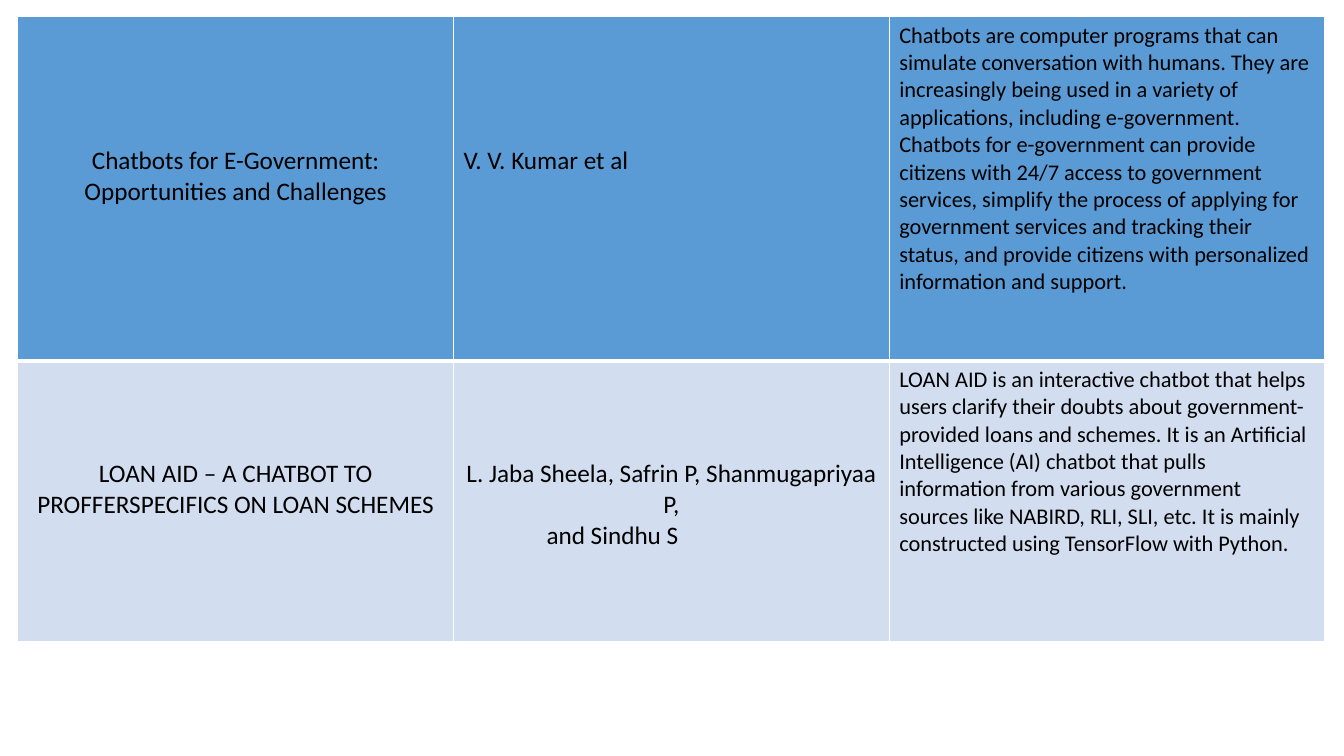
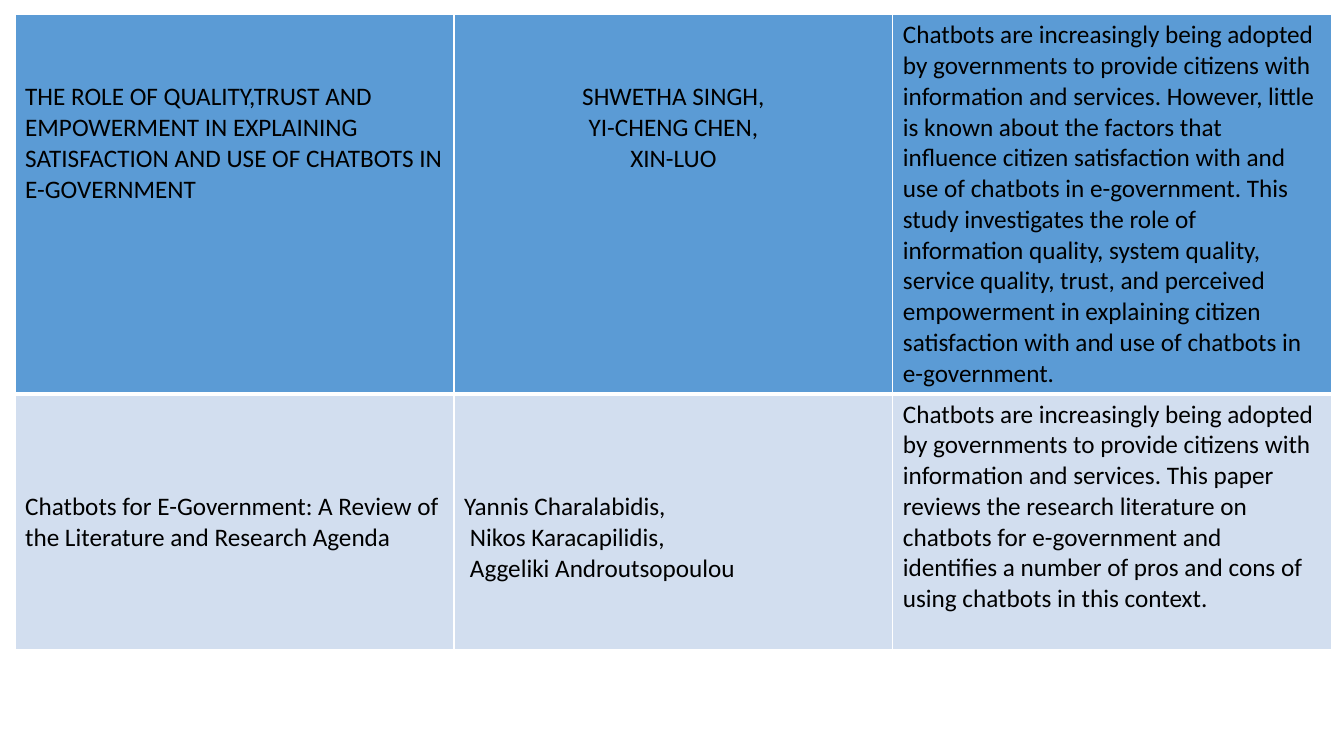
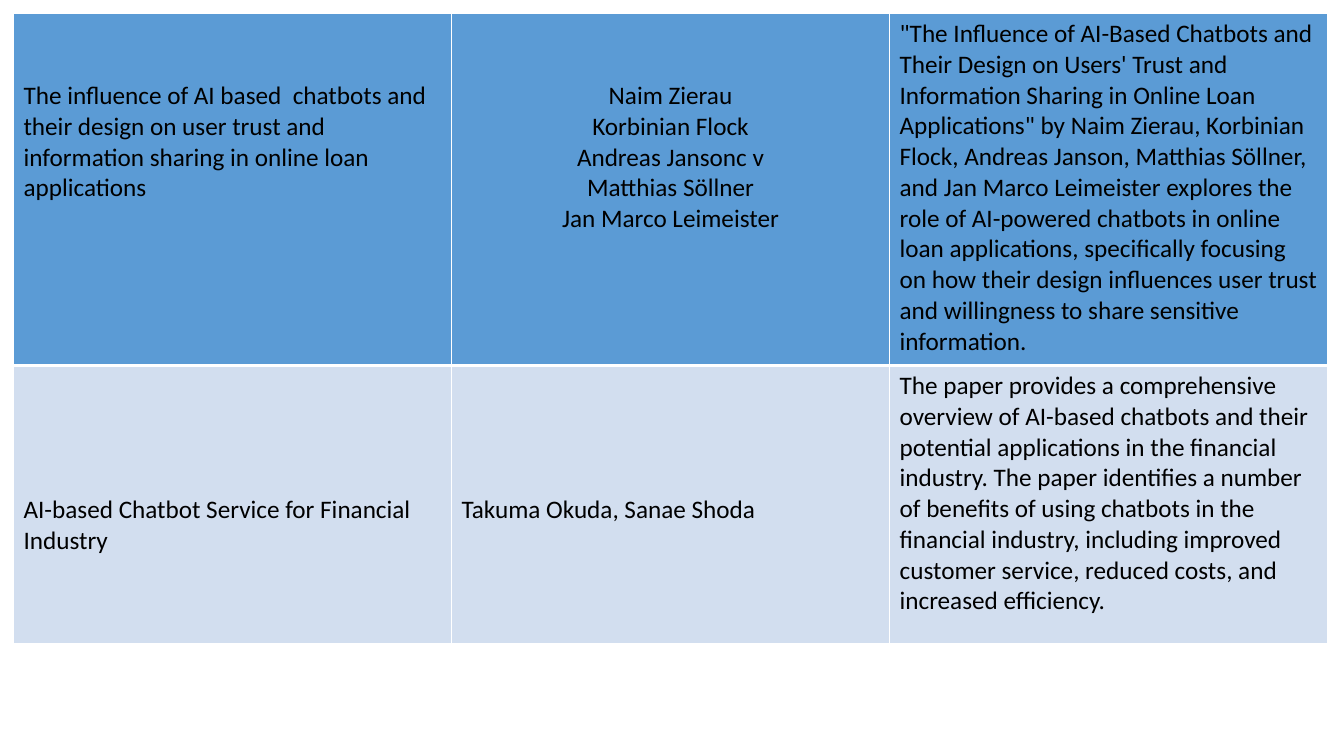
from dataclasses import dataclass

from lxml.etree import SubElement
from pptx import Presentation
from pptx.dml.color import RGBColor
from pptx.enum.text import PP_ALIGN as Align
from pptx.oxml.ns import qn
from pptx.util import Cm, Pt

FONT = "Calibri"
BLACK = "000000"
WHITE = "FFFFFF"
ROW_FILLS = ("5B9BD5", "D2DEEF")
BLANK_LAYOUT = 6
PADDING = 0.13
LINE_HEIGHT = 0.78
THIN, THICK = 1, 3


@dataclass
class Line:
    text: str
    indent: float = 0


@dataclass
class Entry:
    lines: list
    lines_down: int = 0
    align: Align = Align.LEFT
    size: int = 18


def color(hex_string):
    return RGBColor.from_string(hex_string)


def set_borders(cell, row):
    widths = {
        "L": THIN,
        "R": THIN,
        "T": THICK if row else THIN,
        "B": THIN if row else THICK,
    }
    properties = cell._tc.get_or_add_tcPr()
    for position, (side, width) in enumerate(widths.items()):
        border = SubElement(properties, qn(f"a:ln{side}"), w=str(Pt(width)))
        fill = SubElement(border, qn("a:solidFill"))
        SubElement(fill, qn("a:srgbClr"), val=WHITE)
        properties.insert(position, border)


def add_line(paragraph, line, entry):
    paragraph.alignment = entry.align
    if line.indent:
        paragraph.alignment = Align.LEFT
        paragraph._p.get_or_add_pPr().set("marL", str(Cm(line.indent)))
    run = paragraph.add_run()
    run.text = line.text
    run.font.name = FONT
    run.font.size = Pt(entry.size)
    run.font.bold = False
    run.font.color.rgb = color(BLACK)


def fill_cell(cell, entry, row):
    cell.fill.solid()
    cell.fill.fore_color.rgb = color(ROW_FILLS[row])
    set_borders(cell, row)
    cell.margin_top = Cm(PADDING + entry.lines_down * LINE_HEIGHT)
    frame = cell.text_frame
    for index, line in enumerate(entry.lines):
        paragraph = frame.add_paragraph() if index else frame.paragraphs[0]
        add_line(paragraph, line, entry)


def add_paper_slide(presentation, left, top, column_width, row_heights, papers):
    slide = presentation.slides.add_slide(presentation.slide_layouts[BLANK_LAYOUT])
    columns = len(papers[0])
    table = slide.shapes.add_table(
        len(papers), columns, Cm(left), Cm(top),
        Cm(column_width * columns), Cm(sum(row_heights)),
    ).table
    for column in table.columns:
        column.width = Cm(column_width)
    for row, (height, paper) in enumerate(zip(row_heights, papers)):
        table.rows[row].height = Cm(height)
        for column, entry in enumerate(paper):
            fill_cell(table.cell(row, column), entry, row)


def main():
    presentation = Presentation()
    presentation.slide_width = Cm(33.87)
    presentation.slide_height = Cm(19.05)

    add_paper_slide(presentation, 0.45, 0.42, 10.98, (8.67, 7.07), [
        [
            Entry([Line("Chatbots for E-Government: Opportunities and Challenges")], 4, Align.CENTER),
            Entry([Line("V. V. Kumar et al")], 4),
            Entry([Line(
                "Chatbots are computer programs that can simulate conversation with humans. "
                "They are increasingly being used in a variety of applications, including "
                "e-government. Chatbots for e-government can provide citizens with 24/7 access "
                "to government services, simplify the process of applying for government "
                "services and tracking their status, and provide citizens with personalized "
                "information and support."
            )], size=16),
        ],
        [
            Entry([Line("LOAN AID – A CHATBOT TO PROFFERSPECIFICS ON LOAN SCHEMES")], 3, Align.CENTER),
            Entry([
                Line("L. Jaba Sheela, Safrin P, Shanmugapriyaa P,"),
                Line("and Sindhu S", 2.09),
            ], 3, Align.CENTER),
            Entry([Line(
                "LOAN AID is an interactive chatbot that helps users clarify their doubts about "
                "government-provided loans and schemes. It is an Artificial Intelligence (AI) "
                "chatbot that pulls information from various government sources like NABIRD, "
                "RLI, SLI, etc. It is mainly constructed using TensorFlow with Python."
            )], size=16),
        ],
    ])

    add_paper_slide(presentation, 0.38, 0.37, 11.06, (9.55, 6.45), [
        [
            Entry([Line(
                "THE ROLE OF QUALITY,TRUST AND EMPOWERMENT IN EXPLAINING SATISFACTION "
                "AND USE OF CHATBOTS IN E-GOVERNMENT"
            )], 2),
            Entry([Line("SHWETHA SINGH,"), Line("YI-CHENG CHEN,"), Line("XIN-LUO")], 2, Align.CENTER),
            Entry([Line(
                "Chatbots are increasingly being adopted by governments to provide citizens with "
                "information and services. However, little is known about the factors that "
                "influence citizen satisfaction with and use of chatbots in e-government. This "
                "study investigates the role of information quality, system quality, service "
                "quality, trust, and perceived empowerment in explaining citizen satisfaction "
                "with and use of chatbots in e-government."
            )]),
        ],
        [
            Entry([Line("Chatbots for E-Government: A Review of the Literature and Research Agenda")], 3),
            Entry([
                Line("Yannis Charalabidis,"),
                Line("Nikos Karacapilidis,", 0.15),
                Line("Aggeliki Androutsopoulou", 0.15),
            ], 3),
            Entry([Line(
                "Chatbots are increasingly being adopted by governments to provide citizens with "
                "information and services. This paper reviews the research literature on "
                "chatbots for e-government and identifies a number of pros and cons of using "
                "chatbots in this context."
            )]),
        ],
    ])

    add_paper_slide(presentation, 0.34, 0.34, 11.04, (8.87, 7), [
        [
            Entry([Line(
                "The influence of AI based  chatbots and their design on user trust and "
                "information sharing in online loan applications"
            )], 2),
            Entry([
                Line("Naim Zierau"),
                Line("Korbinian Flock"),
                Line("Andreas Jansonc v"),
                Line("Matthias Söllner"),
                Line("Jan Marco Leimeister"),
            ], 2, Align.CENTER),
            Entry([Line(
                "\"The Influence of AI-Based Chatbots and Their Design on Users' Trust and "
                "Information Sharing in Online Loan Applications\" by Naim Zierau, Korbinian "
                "Flock, Andreas Janson, Matthias Söllner, and Jan Marco Leimeister explores the "
                "role of AI-powered chatbots in online loan applications, specifically focusing "
                "on how their design influences user trust and willingness to share sensitive "
                "information."
            )]),
        ],
        [
            Entry([Line("AI-based Chatbot Service for Financial Industry")], 4),
            Entry([Line("Takuma Okuda, Sanae Shoda")], 4),
            Entry([Line(
                "The paper provides a comprehensive overview of AI-based chatbots and their "
                "potential applications in the financial industry. The paper identifies a number "
                "of benefits of using chatbots in the financial industry, including improved "
                "customer service, reduced costs, and increased efficiency."
            )]),
        ],
    ])

    presentation.save("out.pptx")


if __name__ == "__main__":
    main()
